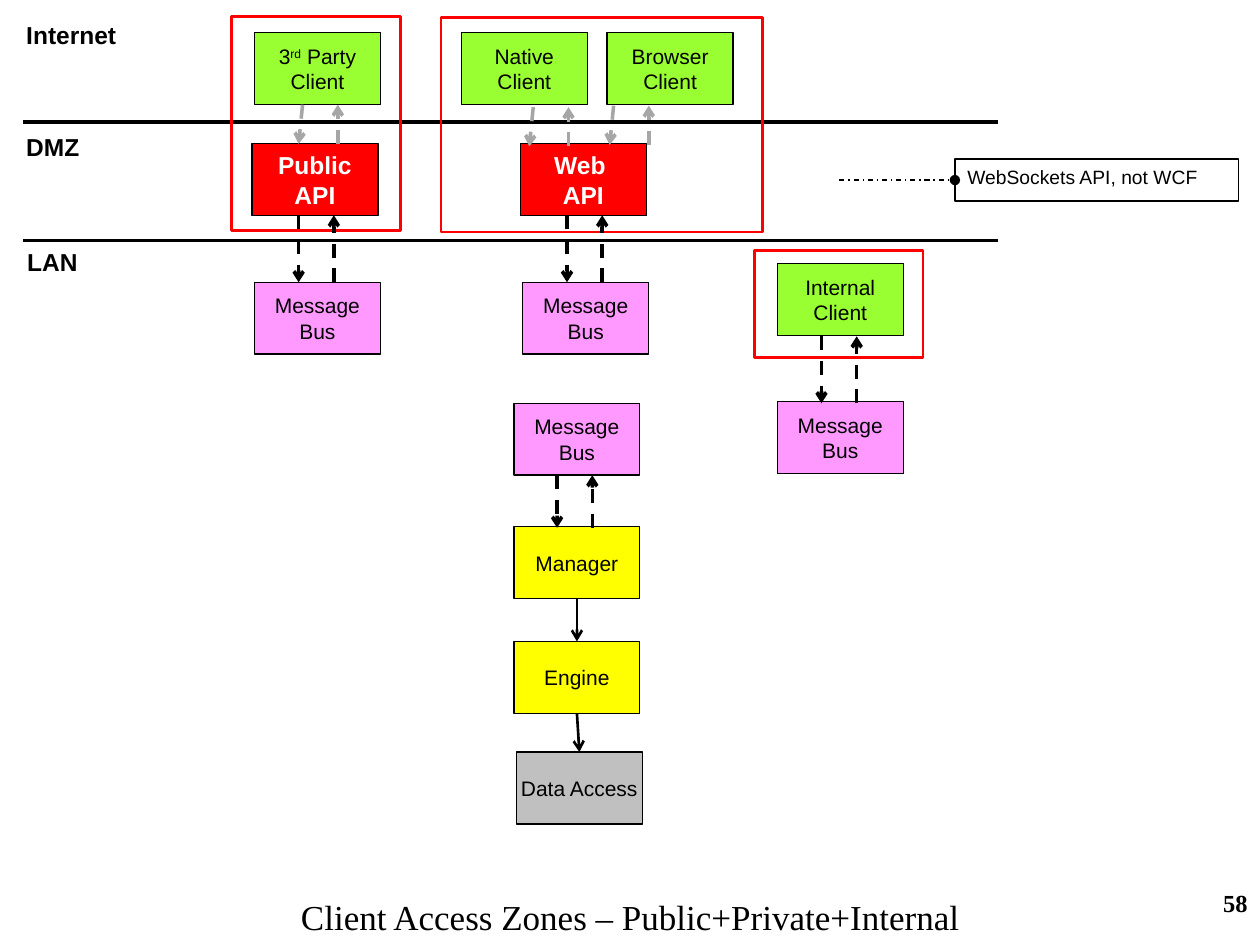
from lxml import etree
from pptx import Presentation
from pptx import util as u
from pptx.dml import color
from pptx.enum import dml, shapes, text
from pptx.oxml import ns

BLACK = color.RGBColor(0x00, 0x00, 0x00)
WHITE = color.RGBColor(0xFF, 0xFF, 0xFF)
RED = color.RGBColor(0xFF, 0x00, 0x00)
GREEN = color.RGBColor(0x99, 0xFF, 0x33)
PINK = color.RGBColor(0xFF, 0x99, 0xFF)
YELLOW = color.RGBColor(0xFF, 0xFF, 0x00)
SILVER = color.RGBColor(0xC0, 0xC0, 0xC0)
GREY = color.RGBColor(0xA6, 0xA6, 0xA6)

WIDE, HIGH = 2.54, 1.45  # size of every component box, in cm
LEFT, RIGHT = 0.46, 20.12  # ends of the zone borders

ALIGN = text.PP_ALIGN
DASH = dml.MSO_LINE.DASH


def style(frame, size, ink=BLACK, bold=False, face="Arial", align=ALIGN.LEFT):
    for para in frame.paragraphs:
        para.alignment = align
        for run in para.runs:
            font = run.font
            font.name, font.size, font.bold = face, u.Pt(size), bold
            font.color.rgb = ink


def label(slide, words, x, y, w, h, size, wrap=False, **look):
    frame = slide.shapes.add_textbox(u.Cm(x), u.Cm(y), u.Cm(w), u.Cm(h)).text_frame
    frame.word_wrap = wrap
    frame.text = words
    style(frame, size, **look)


def rect(slide, x, y, w, h, fill=None, edge=BLACK, width=0.75):
    shape = slide.shapes.add_shape(
        shapes.MSO_SHAPE.RECTANGLE, u.Cm(x), u.Cm(y), u.Cm(w), u.Cm(h))
    shape.shadow.inherit = False
    if fill is None:
        shape.fill.background()
    else:
        shape.fill.solid()
        shape.fill.fore_color.rgb = fill
    shape.line.color.rgb = edge
    shape.line.width = u.Pt(width)
    return shape


def box(slide, words, x, y, fill, size=12, **look):
    frame = rect(slide, x, y, WIDE, HIGH, fill).text_frame
    frame.word_wrap = False
    frame.vertical_anchor = text.MSO_ANCHOR.MIDDLE
    frame.text = words
    style(frame, size, align=ALIGN.CENTER, **look)
    return frame


def line(slide, x1, y1, x2, y2, ink=BLACK, width=2, dash=None, tip=None):
    link = slide.shapes.add_connector(
        shapes.MSO_CONNECTOR.STRAIGHT, u.Cm(x1), u.Cm(y1), u.Cm(x2), u.Cm(y2))
    link.line.color.rgb = ink
    link.line.width = u.Pt(width)
    if dash is not None:
        link.line.dash_style = dash
    if tip:
        stroke = link.line._get_or_add_ln()
        etree.SubElement(stroke, ns.qn("a:tailEnd"), type=tip)
    etree.SubElement(link._element.spPr, ns.qn("a:effectLst"))


def pair(slide, x, top, low, gap=0.71, lean=0, ink=BLACK):
    """Request arrow down, reply arrow up."""
    line(slide, x + lean, top, x, low, ink, dash=DASH, tip="arrow")
    line(slide, x + gap, low, x + gap, top, ink, dash=DASH, tip="arrow")


def main():
    deck = Presentation()
    deck.slide_width, deck.slide_height = u.Cm(25.4), u.Cm(19.05)
    slide = deck.slides.add_slide(deck.slide_layouts[6])

    # Page number and title
    label(slide, "58", 20.12, 17.78, 5.28, 1.27, 14, wrap=True, bold=True,
          face="Times New Roman", align=ALIGN.RIGHT)
    label(slide, "Client Access Zones – Public+Private+Internal",
          5.79, 17.93, 13.84, 1.12, 20, face="Times New Roman",
          align=ALIGN.CENTER)

    # Zones and the borders between them
    for name, x, y, w in (("Internet", 0.28, 0.28, 2.34),
                          ("DMZ", 0.28, 2.54, 1.6),
                          ("LAN", 0.3, 4.85, 1.55)):
        label(slide, name, x, y, w, 0.86, 14, bold=True)
    for y in (2.46, 4.85):
        line(slide, LEFT, y, RIGHT, y)

    # Clients
    for name, x, y in (("Browser", 12.24, 0.66), ("Native", 9.3, 0.66),
                       ("Internal", 15.67, 5.31)):
        box(slide, name + "\nClient", x, y, GREEN)
    third = box(slide, "3\nClient", 5.13, 0.66, GREEN)
    head = third.paragraphs[0]
    for part in ("rd", " Party"):
        head.add_run().text = part
    style(third, 12, align=ALIGN.CENTER)
    head.runs[1].font._element.set("baseline", "30000")

    # APIs
    for name, x in (("Web ", 10.49), ("Public", 5.08)):
        box(slide, name + "\nAPI", x, 2.9, RED, 14, ink=WHITE, bold=True)

    # Service layers
    for name, x, y, fill in (("Manager", 10.36, 10.62, YELLOW),
                             ("Engine", 10.36, 12.93, YELLOW),
                             ("Data Access", 10.41, 15.16, SILVER)):
        box(slide, name, x, y, fill)
    line(slide, 11.63, 12.07, 11.63, 12.93, width=1.5, tip="arrow")
    line(slide, 11.63, 14.38, 11.68, 15.16, width=1.5, tip="arrow")

    # Access frames
    for x, y, w, h in ((4.67, 0.33, 3.4, 4.32), (8.89, 0.36, 6.48, 4.32),
                       (15.21, 5.05, 3.4, 2.16)):
        rect(slide, x, y, w, h, edge=RED, width=1.5)

    # Message buses
    for x, y in ((5.13, 5.69), (10.54, 5.69), (15.67, 8.1), (10.36, 8.13)):
        box(slide, "Message\nBus", x, y, PINK)

    # Calls to and from the buses, then between clients and APIs
    for x, top, low in ((6.02, 4.34, 5.69), (11.43, 4.34, 5.69),
                        (16.56, 6.78, 8.13), (11.23, 9.58, 10.64)):
        pair(slide, x, top, low)
    for x, top in ((6.02, 2.11), (10.67, 2.16), (12.29, 2.13)):
        pair(slide, x, top, top + 0.79, gap=0.79, lean=0.08, ink=GREY)

    # Callout
    note = rect(slide, 19.25, 3.2, 5.72, 0.86, WHITE, width=1).text_frame
    note.vertical_anchor = text.MSO_ANCHOR.TOP
    note.text = "WebSockets API, not WCF"
    style(note, 11)
    line(slide, 16.92, 3.63, 19.25, 3.63, width=0.75,
         dash=dml.MSO_LINE.DASH_DOT, tip="oval")

    deck.save("out.pptx")


if __name__ == "__main__":
    main()
